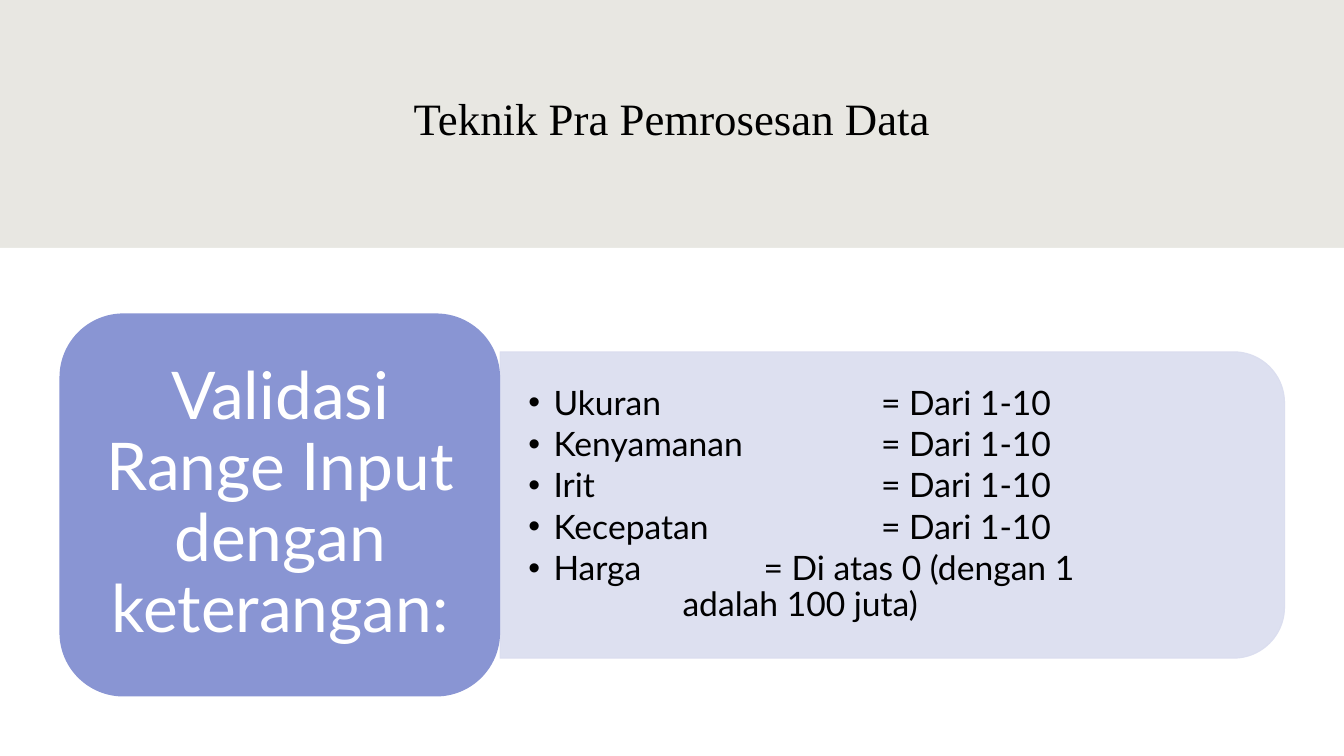
from lxml.etree import SubElement
from pptx import Presentation
from pptx.dml.color import RGBColor
from pptx.enum.shapes import MSO_SHAPE
from pptx.enum.text import MSO_ANCHOR, PP_ALIGN
from pptx.oxml.ns import qn
from pptx.util import Inches, Pt

COLORS = {
    "background": "E8E7E2",
    "white": "FFFFFF",
    "black": "000000",
    "label": "8995D3",
    "panel": "DADDEF",
}
CRITERIA = [
    "Ukuran\t\t= Dari 1-10",
    "Kenyamanan\t\t= Dari 1-10",
    "Irit\t\t\t= Dari 1-10",
    "Kecepatan\t\t= Dari 1-10",
    "Harga\t\t= Di atas 0 (dengan 1",
]
PRICE_NOTE = "adalah 100 juta)"


def rgb(name):
    return RGBColor.from_string(COLORS[name])


def add_block(page, kind, frame, color):
    """Add a borderless filled shape."""
    block = page.shapes.add_shape(kind, *map(Inches, frame))
    block.shadow.inherit = False
    block.fill.solid()
    block.fill.fore_color.rgb = rgb(color)
    block.line.fill.background()
    return block


def add_panel(page, frame, color):
    """Add a translucent panel whose rounded end points right."""
    panel = add_block(page, MSO_SHAPE.ROUND_2_SAME_RECTANGLE, frame, color)
    panel.rotation = 90
    panel.line.color.rgb = rgb(color)
    panel.line.width = Pt(0.75)
    for shade in panel._element.spPr.iter(qn("a:srgbClr")):
        SubElement(shade, qn("a:alpha"), val="90000")


def add_text(page, frame, lines, size, font, color, margins=(0.1, 0.05),
             align=PP_ALIGN.LEFT, spacing=0.9, after=0):
    """Add a middle-anchored text box and return its paragraphs."""
    box = page.shapes.add_textbox(*map(Inches, frame))
    text_frame = box.text_frame
    text_frame.word_wrap = True
    text_frame.vertical_anchor = MSO_ANCHOR.MIDDLE
    text_frame.margin_left = text_frame.margin_right = Inches(margins[0])
    text_frame.margin_top = text_frame.margin_bottom = Inches(margins[1])
    text_frame.text = "\n".join(lines)
    for para in text_frame.paragraphs:
        para.alignment = align
        para.line_spacing = spacing
        para.space_after = Pt(after)
        for span in para.runs:
            span.font.size = Pt(size)
            span.font.name = font
            span.font.color.rgb = rgb(color)
    return text_frame.paragraphs


def set_indent(para, left, hanging=0):
    properties = para._p.get_or_add_pPr()
    properties.set("marL", str(Inches(left)))
    properties.set("indent", str(-Inches(hanging)))
    return properties


def add_bullet(para):
    """Give a paragraph a hanging bullet and wide tab steps."""
    properties = set_indent(para, 0.25, 0.25)
    properties.set("defTabSz", str(Pt(84)))
    SubElement(properties, qn("a:buFont"), typeface="Arial")
    SubElement(properties, qn("a:buChar"), char="•")


def main():
    deck = Presentation()
    deck.slide_width, deck.slide_height = Inches(13.33), Inches(7.5)
    page = deck.slides.add_slide(deck.slide_layouts[6])
    page.background.fill.solid()
    page.background.fill.fore_color.rgb = rgb("background")

    # Title band and white body
    add_text(page, (1.18, 0.59, 10.97, 1.23), ["Teknik Pra Pemrosesan Data"],
             32, "Times New Roman", "black", align=PP_ALIGN.CENTER)
    add_block(page, MSO_SHAPE.RECTANGLE, (0, 2.46, 13.33, 5.04), "white")

    # Criteria panel
    add_panel(page, (7.33, 1.12, 3.04, 7.78), "panel")
    *criteria, note = add_text(
        page, (4.97, 3.64, 7.63, 2.74), CRITERIA + [PRICE_NOTE],
        24, "Lato", "black", margins=(0.27, 0.14), after=3.6)
    for para in criteria:
        add_bullet(para)
    # The note continues the last criterion
    criteria[-1].space_after = Pt(0)
    set_indent(note, 1.53)

    # Label
    add_block(page, MSO_SHAPE.ROUNDED_RECTANGLE, (0.59, 3.11, 4.37, 3.8), "label")
    add_text(page, (0.78, 3.29, 4, 3.43),
             ["Validasi Range Input dengan keterangan:"], 47, "Lato", "white",
             margins=(0.2, 0.1), align=PP_ALIGN.CENTER)

    deck.save("out.pptx")


if __name__ == "__main__":
    main()
